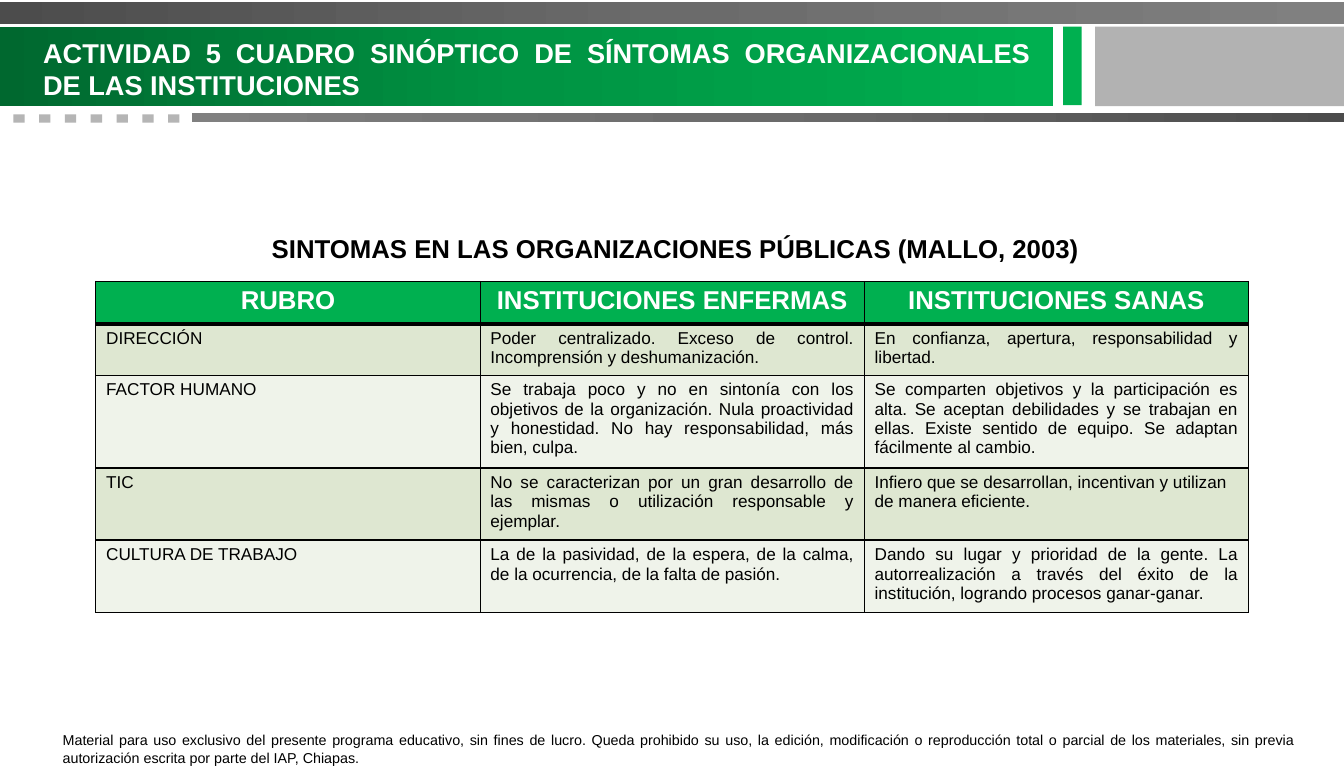
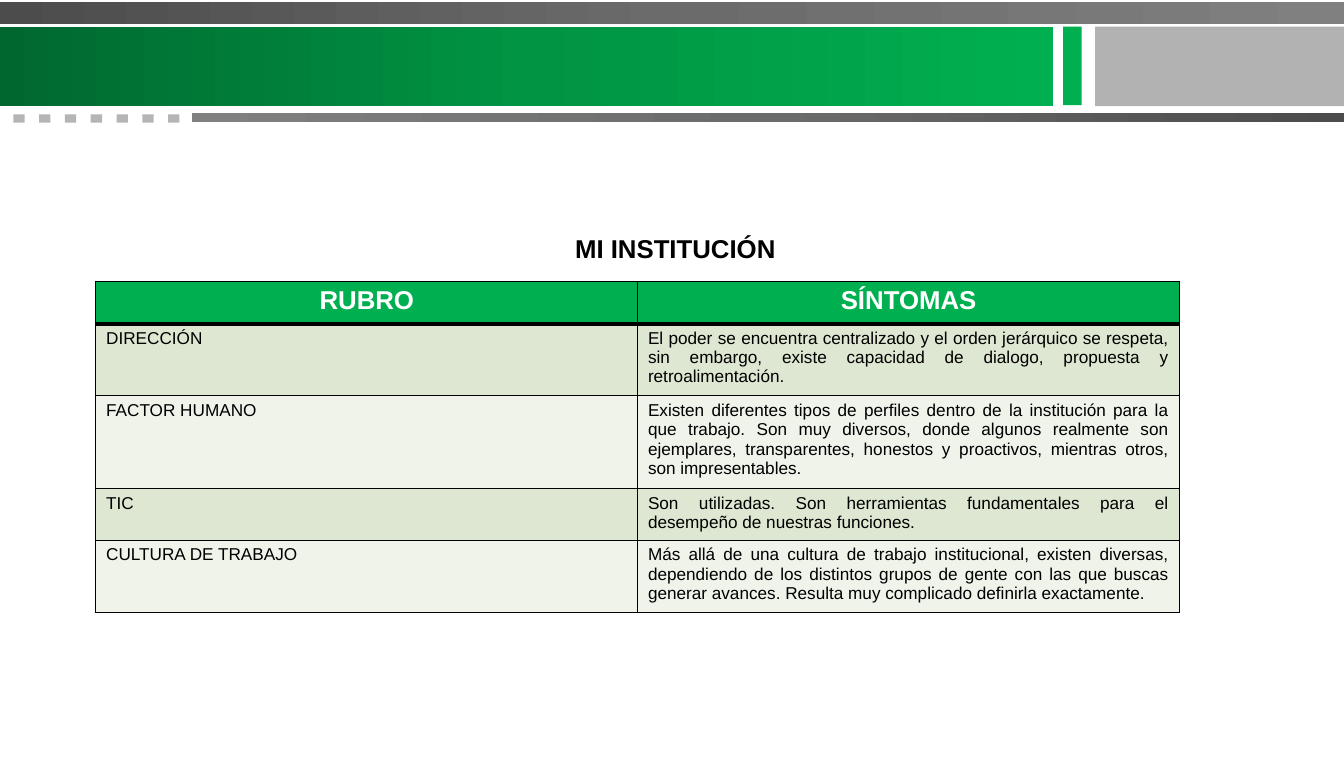
from copy import deepcopy
from dataclasses import dataclass

from lxml import etree
from pptx import Presentation
from pptx.dml.color import RGBColor
from pptx.enum.shapes import MSO_SHAPE
from pptx.enum.text import MSO_AUTO_SIZE, PP_ALIGN
from pptx.oxml.ns import qn
from pptx.util import Emu, Pt

RECTANGLE = MSO_SHAPE.RECTANGLE
LEFT, CENTER, JUSTIFY = PP_ALIGN.LEFT, PP_ALIGN.CENTER, PP_ALIGN.JUSTIFY
GROW = MSO_AUTO_SIZE.SHAPE_TO_FIT_TEXT

PX = 9144  # one px is a hundredth of an inch
PAGE_WIDTH, PAGE_HEIGHT = Emu(11918950), Emu(6858000)
RIGHT_EDGE = 1304  # page width in px, rounded up so bands reach the edge
FONT = "Arial"

COLORS = {
    "black": "000000",
    "white": "FFFFFF",
    "green": "00B050",
    "green_mid": "009443",
    "green_dark": "00682F",
    "gray": "B2B2B2",
    "dot": "B5B5B5",
    "steel": "808080",
    "steel_mid": "6B6B6B",
    "steel_dark": "4C4C4C",
    "row_odd": "DEE7D1",
    "row_even": "EFF3EA",
}


@dataclass(frozen=True)
class Area:
    left: int
    top: int
    width: int
    height: int

    def emu(self) -> tuple[Emu, ...]:
        return tuple(Emu(n * PX) for n in (self.left, self.top, self.width, self.height))


@dataclass(frozen=True)
class Band:
    area: Area
    colors: tuple[str, ...]  # one colour is solid, three make a gradient


@dataclass(frozen=True)
class TextStyle:
    size: int
    color: str
    bold: bool
    align: PP_ALIGN


@dataclass(frozen=True)
class Row:
    height: int
    texts: tuple[str, ...]
    last_align: PP_ALIGN = JUSTIFY


@dataclass(frozen=True)
class Content:
    caption: str
    table_width: int
    headers: tuple[str, ...]
    rows: tuple[Row, ...]
    title: str = ""
    notice: str = ""


# Shared look
STEEL = ("steel_dark", "steel_mid", "steel")
DOT_COUNT, DOT_LEFT, DOT_PITCH = 7, 13, 25
BANDS = (
    Band(Area(0, 26, 1021, 77), ("green_dark", "green_mid", "green")),
    Band(Area(1031, 26, 18, 76), ("green",)),
    Band(Area(1062, 26, RIGHT_EDGE - 1062, 77), ("gray",)),
    *(Band(Area(DOT_LEFT + i * DOT_PITCH, 111, 11, 8), ("dot",)) for i in range(DOT_COUNT)),
    Band(Area(186, 110, RIGHT_EDGE - 186, 8), STEEL[::-1]),
    Band(Area(0, 2, RIGHT_EDGE, 21), STEEL),
)
TITLE_AREA = Area(32, 30, 977, 74)
CAPTION_AREA = Area(115, 221, 1080, 40)
NOTICE_AREA = Area(51, 705, 1213, 44)
TABLE_LEFT, TABLE_TOP, HEADER_HEIGHT = 93, 273, 41
THIN, THICK = 1, 3

TITLE_STYLE = TextStyle(19, "white", True, JUSTIFY)
CAPTION_STYLE = TextStyle(18, "black", True, CENTER)
NOTICE_STYLE = TextStyle(10, "black", False, JUSTIFY)
HEADER_STYLE = TextStyle(18, "white", True, CENTER)

CONTENTS = (
    Content(
        title="ACTIVIDAD 5 CUADRO SINÓPTICO DE SÍNTOMAS ORGANIZACIONALES DE LAS INSTITUCIONES",
        caption="SINTOMAS EN LAS ORGANIZACIONES PÚBLICAS (MALLO, 2003)",
        table_width=1118,
        headers=("RUBRO", "INSTITUCIONES ENFERMAS", "INSTITUCIONES SANAS"),
        rows=(
            Row(50, (
                "DIRECCIÓN",
                "Poder centralizado. Exceso de control. Incomprensión y deshumanización.",
                "En confianza, apertura, responsabilidad y libertad.",
            )),
            Row(90, (
                "FACTOR HUMANO",
                "Se trabaja poco y no en sintonía con los objetivos de la organización. "
                "Nula proactividad y honestidad. No hay responsabilidad, más bien, culpa.",
                "Se comparten objetivos y la participación es alta. Se aceptan debilidades y se "
                "trabajan en ellas. Existe sentido de equipo. Se adaptan fácilmente al cambio.",
            )),
            Row(70, (
                "TIC",
                "No se caracterizan por un gran desarrollo de las mismas o utilización "
                "responsable y ejemplar.",
                "Infiero que se desarrollan, incentivan y utilizan de manera eficiente.",
            ), LEFT),
            Row(70, (
                "CULTURA DE TRABAJO",
                "La de la pasividad, de la espera, de la calma, de la ocurrencia, de la falta "
                "de pasión.",
                "Dando su lugar y prioridad de la gente. La autorrealización a través del éxito "
                "de la institución, logrando procesos ganar-ganar.",
            )),
        ),
        notice="Material para uso exclusivo del presente programa educativo, sin fines de lucro. "
        "Queda prohibido su uso, la edición, modificación o reproducción total o parcial de los "
        "materiales, sin previa autorización escrita por parte del IAP, Chiapas.",
    ),
    Content(
        caption="MI INSTITUCIÓN",
        table_width=1051,
        headers=("RUBRO", "SÍNTOMAS"),
        rows=(
            Row(70, (
                "DIRECCIÓN",
                "El poder se encuentra centralizado y el orden jerárquico se respeta, sin "
                "embargo, existe capacidad de dialogo, propuesta y retroalimentación.",
            )),
            Row(90, (
                "FACTOR HUMANO",
                "Existen diferentes tipos de perfiles dentro de la institución para la que "
                "trabajo. Son muy diversos, donde algunos realmente son ejemplares, "
                "transparentes, honestos y proactivos, mientras otros, son impresentables.",
            )),
            Row(50, (
                "TIC",
                "Son utilizadas. Son herramientas fundamentales para el desempeño de nuestras "
                "funciones.",
            )),
            Row(70, (
                "CULTURA DE TRABAJO",
                "Más allá de una cultura de trabajo institucional, existen diversas, "
                "dependiendo de los distintos grupos de gente con las que buscas generar "
                "avances. Resulta muy complicado definirla exactamente.",
            )),
        ),
    ),
)


def rgb(name: str) -> RGBColor:
    return RGBColor.from_string(COLORS[name])


def write_text(frame, text: str, style: TextStyle) -> None:
    para = frame.paragraphs[0]
    para.alignment = style.align
    span = para.add_run()
    span.text = text
    for key, value in {"name": FONT, "size": Pt(style.size), "bold": style.bold}.items():
        setattr(span.font, key, value)
    span.font.color.rgb = rgb(style.color)


def add_text(page, area: Area, text: str, style: TextStyle) -> None:
    frame = page.shapes.add_textbox(*area.emu()).text_frame
    frame.word_wrap = True
    frame.auto_size = GROW
    write_text(frame, text, style)


def add_band(page, band: Band) -> None:
    box = page.shapes.add_shape(RECTANGLE, *band.area.emu())
    box.shadow.inherit = False
    box.line.fill.background()
    if len(band.colors) == 1:
        box.fill.solid()
        box.fill.fore_color.rgb = rgb(band.colors[0])
        return
    box.fill.gradient()
    box.fill.gradient_angle = 0
    # A new gradient has two stops; add the middle one
    first_stop = box._element.spPr.find(".//" + qn("a:gs"))
    first_stop.addnext(deepcopy(first_stop))
    for stop, position, color in zip(box.fill.gradient_stops, (0, 0.5, 1), band.colors):
        stop.position = position
        stop.color.rgb = rgb(color)


def fill_cell(cell, text: str, style: TextStyle, fill: str, top: int, bottom: int) -> None:
    write_text(cell.text_frame, text, style)
    properties = cell._tc.get_or_add_tcPr()
    for side, points in {"lnL": THIN, "lnR": THIN, "lnT": top, "lnB": bottom}.items():
        border = etree.SubElement(properties, qn(f"a:{side}"), w=str(Pt(points)))
        solid = etree.SubElement(border, qn("a:solidFill"))
        etree.SubElement(solid, qn("a:srgbClr"), val=COLORS["black"])
    cell.fill.solid()
    cell.fill.fore_color.rgb = rgb(fill)


def add_symptom_table(page, content: Content) -> None:
    columns = len(content.headers)
    heights = [HEADER_HEIGHT, *(row.height for row in content.rows)]
    area = Area(TABLE_LEFT, TABLE_TOP, content.table_width, sum(heights))
    table = page.shapes.add_table(len(heights), columns, *area.emu()).table
    table.horz_banding = False
    for line, height in zip(table.rows, heights):
        line.height = Emu(height * PX)
    for column, text in enumerate(content.headers):
        fill_cell(table.cell(0, column), text, HEADER_STYLE, "green", THIN, THICK)
    for number, row in enumerate(content.rows, start=1):
        fill = "row_odd" if number % 2 else "row_even"
        top = THICK if number == 1 else THIN
        for column, text in enumerate(row.texts):
            align = row.last_align if column == columns - 1 else JUSTIFY
            style = TextStyle(12, "black", False, align)
            fill_cell(table.cell(number, column), text, style, fill, top, THIN)


def add_page(deck, content: Content) -> None:
    page = deck.slides.add_slide(deck.slide_layouts[6])
    for band in BANDS:
        add_band(page, band)
    add_symptom_table(page, content)
    for area, text, style in (
        (NOTICE_AREA, content.notice, NOTICE_STYLE),
        (CAPTION_AREA, content.caption, CAPTION_STYLE),
        (TITLE_AREA, content.title, TITLE_STYLE),
    ):
        if text:
            add_text(page, area, text, style)


def main() -> None:
    deck = Presentation()
    deck.slide_width, deck.slide_height = PAGE_WIDTH, PAGE_HEIGHT
    for content in CONTENTS:
        add_page(deck, content)
    deck.save("out.pptx")


if __name__ == "__main__":
    main()
